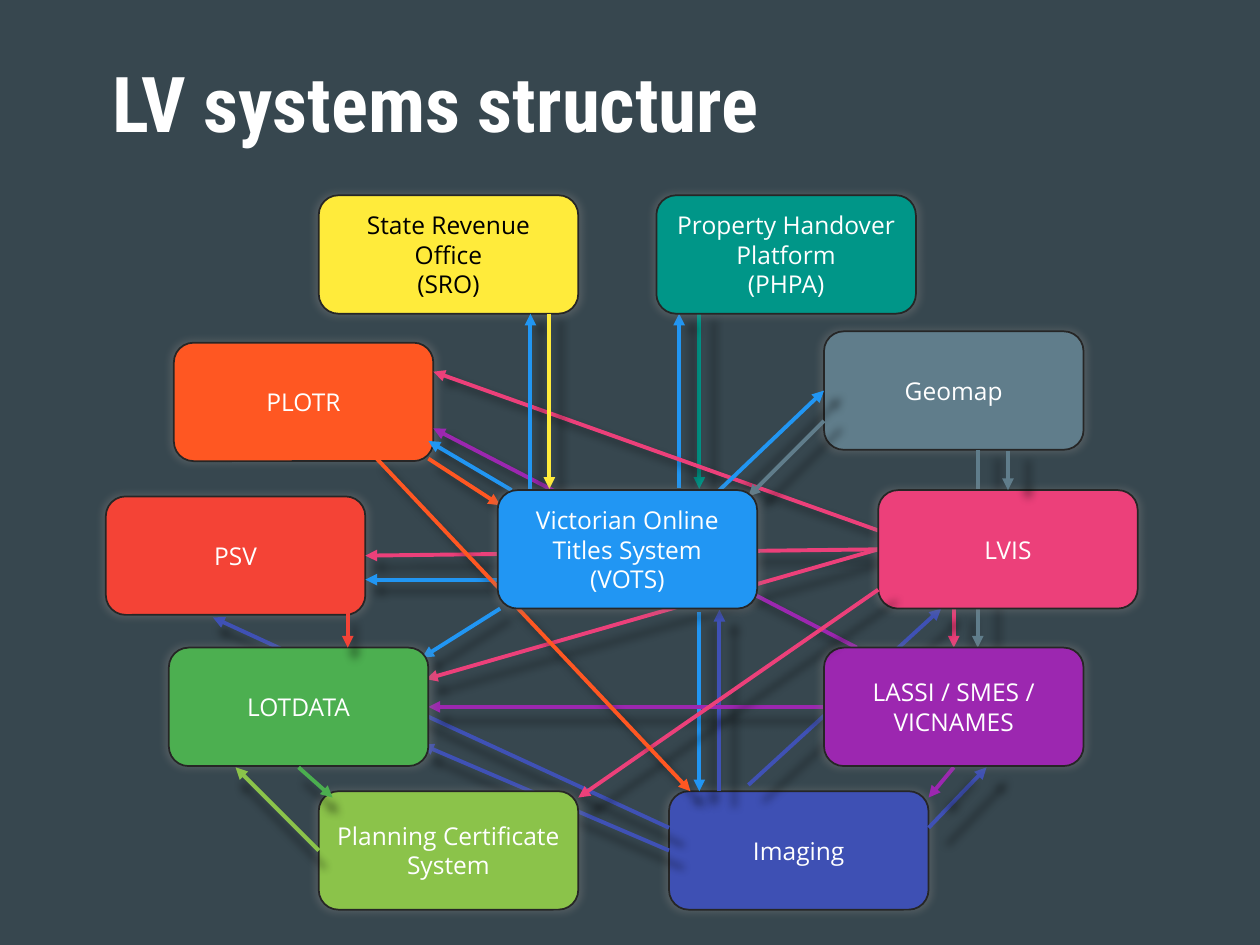
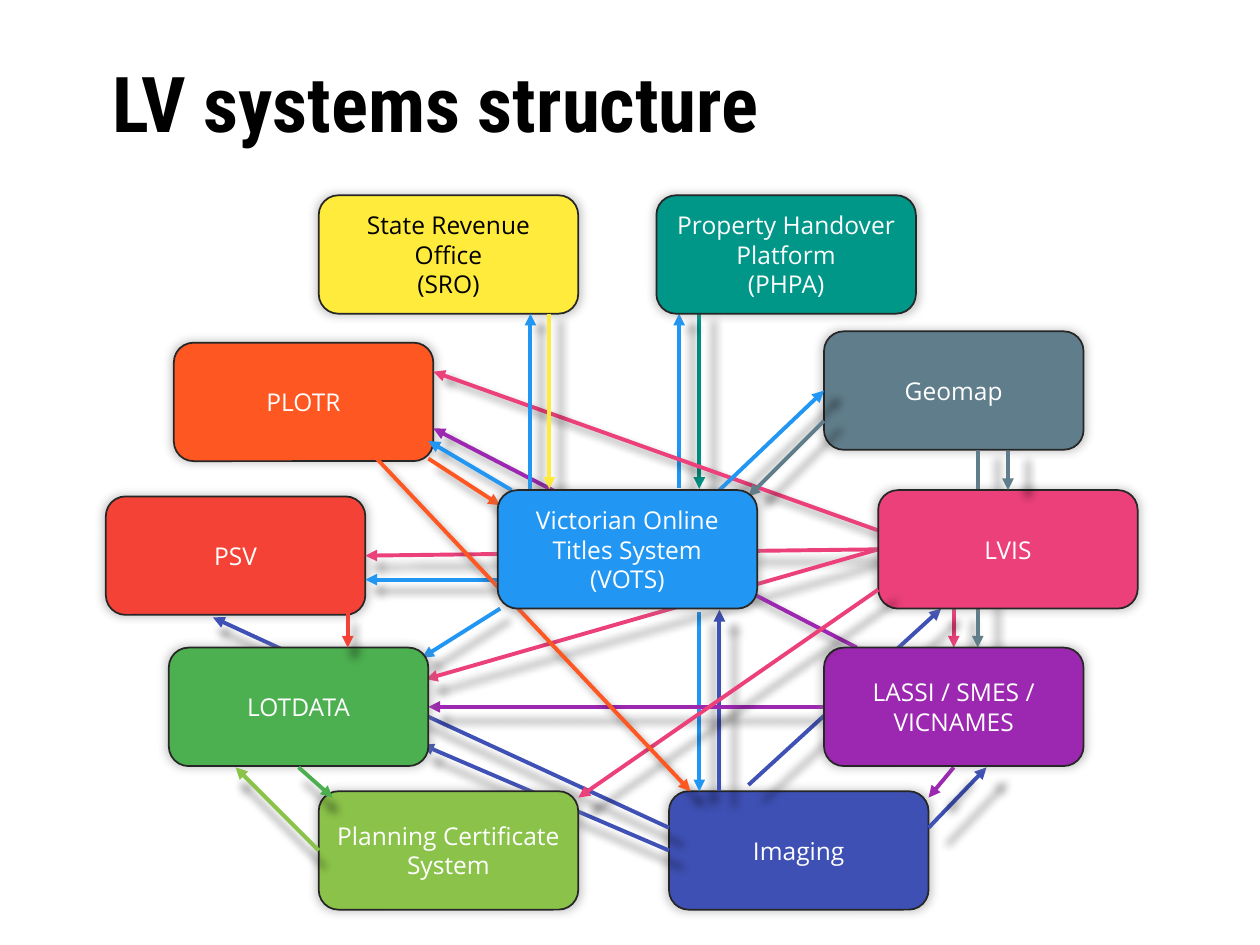
from lxml import etree
from pptx import Presentation
from pptx.dml.color import RGBColor
from pptx.enum.shapes import MSO_CONNECTOR as Connector, MSO_SHAPE as Shape
from pptx.enum.text import MSO_ANCHOR as Anchor, PP_ALIGN as Align
from pptx.oxml.ns import qn
from pptx.util import Pt

SCALE = 9144
PAGE_SIZE = (1000, 750)
TITLE = "LV systems structure"
TITLE_AREA = (79, 0, 850, 161)
TITLE_FONT, BODY_FONT = "Roboto Condensed", "Open Sans"
BOX_SIZE = (206, 94)
WHITE, BLACK, OUTLINE, BOX_SHADOW = "FFFFFF", "000000", "262626", "808080"

THEMES = [
    {"background": "37474F", "title": WHITE},
    {"background": WHITE, "title": BLACK},
]

SYSTEMS = {
    "psv": ("PSV", "F44336", (84, 394)),
    "plans": ("PLOTR", "FF5722", (138, 272)),
    "imaging": ("Imaging", "3E50B4", (531, 628)),
    "exchange": ("Property Handover Platform\n(PHPA)", "009688", (521, 155)),
    "revenue": ("State Revenue Office\n(SRO)", "FFEB3B", (253, 155)),
    "map": ("Geomap", "607D8B", (654, 263)),
    "lvis": ("LVIS", "EC407A", (697, 389)),
    "land": ("LOTDATA", "4CAF50", (134, 514)),
    "planning": ("Planning Certificate System", "8BC34A", (253, 628)),
    "lassi": ("LASSI / SMES / VICNAMES", "9C27B0", (654, 514)),
    "vots": ("Victorian Online Titles System (VOTS)", "2196F3", (395, 389)),
}
DARK_TEXT = {"revenue"}
ARROW_TINTS = {"imaging": "3F51B5", "land": "4BAE4F"}

LAYERS = [
    (["psv", "plans", "imaging"], [
        ("vots", (555, 486), (555, 628)),
        ("imaging", (571, 628), (571, 484)),
        ("vots", (397, 483), (335, 522)),
        ("exchange", (555, 249), (555, 388)),
        ("imaging", (531, 657), (169, 490)),
        ("imaging", (737, 657), (783, 609)),
        ("plans", (340, 364), (397, 401)),
        ("vots", (406, 389), (340, 350)),
        ("vots", (539, 387), (539, 249)),
        ("lassi", (757, 609), (737, 633)),
        ("lvis", (757, 483), (757, 514)),
        ("lvis", (697, 436), (290, 441)),
        ("lvis", (697, 436), (338, 539)),
        ("vots", (395, 460), (290, 460)),
        ("imaging", (594, 623), (747, 483)),
        ("lassi", (654, 561), (340, 561)),
        ("lassi", (680, 514), (344, 340)),
        ("lvis", (697, 421), (344, 295)),
    ]),
    (["exchange", "revenue", "map"], [
        ("vots", (421, 388), (421, 249)),
        ("revenue", (436, 249), (436, 388)),
        ("vots", (571, 389), (654, 310)),
        ("map", (654, 334), (594, 394)),
        ("map", (776, 357), (776, 514)),
    ]),
    (["lvis"], [
        ("map", (800, 358), (800, 389)),
        ("imaging", (531, 675), (335, 591)),
    ]),
    (["land", "planning", "lassi"], [
        ("land", (237, 609), (264, 633)),
        ("lvis", (697, 468), (459, 633)),
        ("planning", (253, 675), (187, 609)),
        ("psv", (276, 486), (276, 514)),
        ("plans", (299, 364), (548, 628)),
    ]),
    (["vots"], []),
]


def px(*lengths):
    return [length * SCALE for length in lengths]


def colour(value):
    return RGBColor.from_string(value)


def write(frame, text, *, size, font, tint, bold=False, align=Align.LEFT):
    frame.word_wrap = True
    frame.vertical_anchor = Anchor.MIDDLE
    frame.text = text
    for para in frame.paragraphs:
        para.alignment = align
        for span in para.runs:
            span.font.size, span.font.name, span.font.bold = Pt(size), font, bold
            span.font.color.rgb = colour(tint)


def add_shadow(shape, tint):
    properties = shape._element.spPr
    effects = etree.SubElement(properties, qn("a:effectLst"))
    shadow = etree.SubElement(
        effects, qn("a:outerShdw"), blurRad=str(Pt(5)), sx="102000", sy="102000",
        algn="ctr", rotWithShape="0")
    shade = etree.SubElement(shadow, qn("a:srgbClr"), val=tint)
    etree.SubElement(shade, qn("a:alpha"), val="40000")


def add_title(page, tint):
    title = page.shapes.title
    title.left, title.top, title.width, title.height = px(*TITLE_AREA)
    write(title.text_frame, TITLE, size=44, font=TITLE_FONT, tint=tint, bold=True)
    for holder in list(page.placeholders):
        if not holder.text_frame.text:
            holder._element.getparent().remove(holder._element)


def add_system(page, name):
    text, fill, corner = SYSTEMS[name]
    box = page.shapes.add_shape(Shape.ROUNDED_RECTANGLE, *px(*corner, *BOX_SIZE))
    box.fill.solid()
    box.fill.fore_color.rgb = colour(fill)
    box.line.color.rgb = colour(OUTLINE)
    box.line.width = Pt(1)
    add_shadow(box, BOX_SHADOW)
    write(box.text_frame, text, size=14, font=BODY_FONT, align=Align.CENTER,
          tint=BLACK if name in DARK_TEXT else WHITE)


def add_arrow(page, source, start, end):
    arrow = page.shapes.add_connector(Connector.STRAIGHT, *px(*start, *end))
    arrow.line.color.rgb = colour(ARROW_TINTS.get(source, SYSTEMS[source][1]))
    arrow.line.width = Pt(2.25)
    etree.SubElement(arrow.line._get_or_add_ln(), qn("a:tailEnd"), type="triangle")
    add_shadow(arrow, BLACK)


def add_page(deck, theme):
    page = deck.slides.add_slide(deck.slide_layouts[0])
    page.background.fill.solid()
    page.background.fill.fore_color.rgb = colour(theme["background"])
    add_title(page, theme["title"])
    for names, arrows in LAYERS:
        for name in names:
            add_system(page, name)
        for arrow in arrows:
            add_arrow(page, *arrow)


def main():
    deck = Presentation()
    deck.slide_width, deck.slide_height = px(*PAGE_SIZE)
    for theme in THEMES:
        add_page(deck, theme)
    deck.save("out.pptx")


if __name__ == "__main__":
    main()
